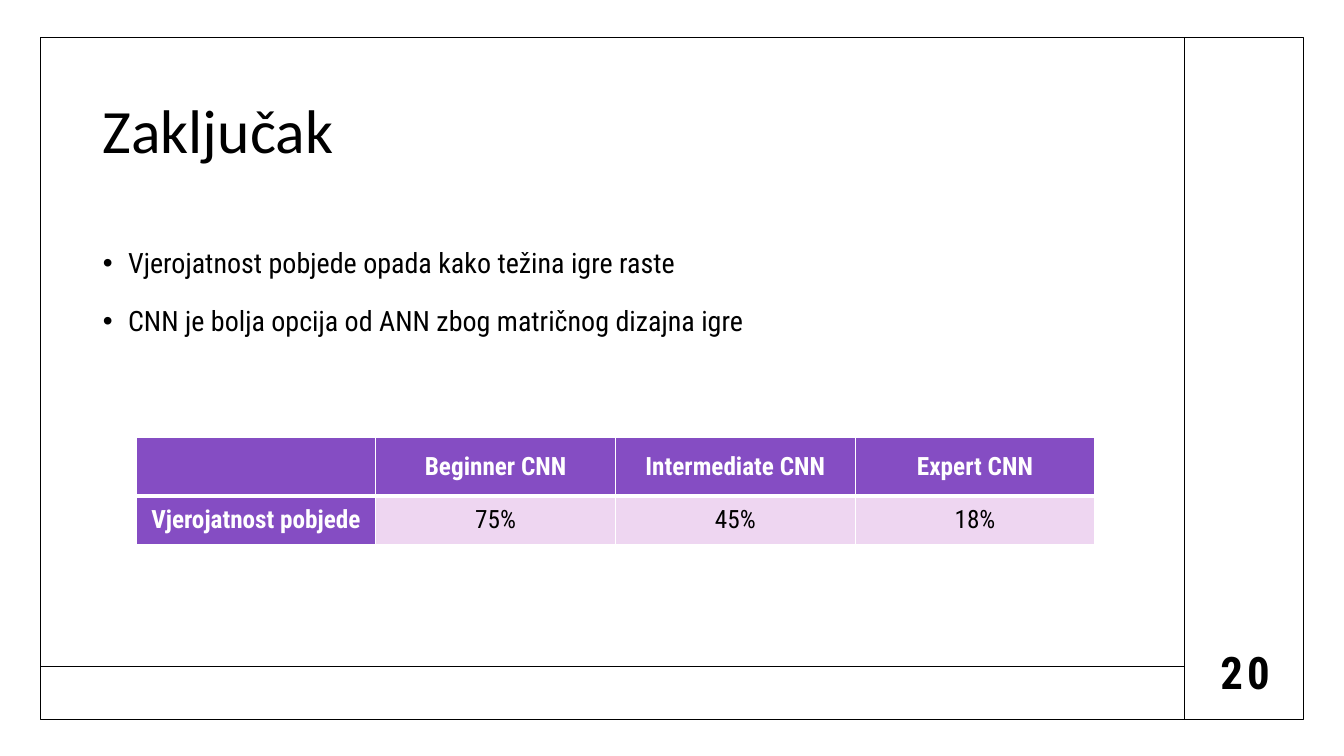
from lxml import etree
from pptx import Presentation
from pptx.dml.color import RGBColor
from pptx.enum.shapes import MSO_CONNECTOR, MSO_SHAPE
from pptx.enum.text import MSO_ANCHOR, PP_ALIGN
from pptx.oxml.ns import qn
from pptx.util import Inches, Pt

LEFT, CENTER = PP_ALIGN.LEFT, PP_ALIGN.CENTER
TOP, MIDDLE = MSO_ANCHOR.TOP, MSO_ANCHOR.MIDDLE
RECTANGLE, STRAIGHT = MSO_SHAPE.RECTANGLE, MSO_CONNECTOR.STRAIGHT

BLACK, WHITE, PURPLE, LILAC = "000000", "FFFFFF", "854DC3", "EED6F1"
HEADING_FONT, TEXT_FONT = "Calibri", "Roboto Condensed"

FRAME = (0.4, 0.37, 12.53, 6.77)
SIDEBAR_X, FOOTER_Y = 11.75, 6.61
TITLE = (0.92, 0.6, 10.38, 1.45)
BODY = (0.92, 2.29, 10.38, 4.1)
PAGE_NUMBER = (11.83, 6.43, 1.04, 0.46)
RESULTS = (1.35, 4.34, 9.51, 1.06)
HEADER_SHARE = 0.55

CONCLUSIONS = [
    "Vjerojatnost pobjede opada kako težina igre raste",
    "CNN je bolja opcija od ANN zbog matričnog dizajna igre",
]
WIN_RATES = [
    ["", "Beginner CNN", "Intermediate CNN", "Expert CNN"],
    ["Vjerojatnost pobjede", "75%", "45%", "18%"],
]


def color(value):
    return RGBColor.from_string(value)


def inches(*lengths):
    return [Inches(length) for length in lengths]


def place(shape, box):
    shape.left, shape.top, shape.width, shape.height = inches(*box)


def write(frame, lines, size=20, font=TEXT_FONT, ink=BLACK, bold=False,
          align=LEFT, anchor=MIDDLE, line_spacing=1.0, before=0,
          tracking=0, bullet=False):
    frame.word_wrap = True
    frame.vertical_anchor = anchor
    for index, line in enumerate(lines):
        paragraph = frame.add_paragraph() if index else frame.paragraphs[0]
        paragraph.alignment = align
        paragraph.line_spacing = line_spacing
        paragraph.space_before = Pt(before)
        run = paragraph.add_run()
        run.text = line
        run.font.size, run.font.name, run.font.bold = Pt(size), font, bold
        run.font.color.rgb = color(ink)
        if tracking:
            run.font._element.set("spc", str(tracking * 100))
        if bullet:
            properties = paragraph._p.get_or_add_pPr()
            properties.set("marL", str(Inches(0.25)))
            properties.set("indent", str(-Inches(0.25)))
            etree.SubElement(properties, qn("a:buFont")).set("typeface", "Arial")
            etree.SubElement(properties, qn("a:buChar")).set("char", "•")


def add_rule(slide, start, end):
    rule = slide.shapes.add_connector(STRAIGHT, *inches(*start, *end))
    rule.line.color.rgb = color(BLACK)
    rule.line.width = Pt(1)
    etree.SubElement(rule._element.spPr, qn("a:effectLst"))


def draw_frame(slide, box):
    left, top, _, height = box
    border = slide.shapes.add_shape(RECTANGLE, *inches(*box))
    border.shadow.inherit = False
    border.fill.background()
    border.line.color.rgb = color(BLACK)
    border.line.width = Pt(1)
    add_rule(slide, (SIDEBAR_X, top), (SIDEBAR_X, top + height))
    add_rule(slide, (left, FOOTER_Y), (SIDEBAR_X, FOOTER_Y))


def set_borders(cell, bottom):
    properties = cell._tc.get_or_add_tcPr()
    widths = {"lnL": 1, "lnR": 1, "lnT": 1, "lnB": bottom}
    for index, (side, width) in enumerate(widths.items()):
        edge = etree.Element(qn("a:" + side), w=str(Pt(width)))
        fill = etree.SubElement(edge, qn("a:solidFill"))
        etree.SubElement(fill, qn("a:srgbClr")).set("val", WHITE)
        properties.insert(index, edge)


def add_results(slide, box, rows):
    width, height = box[2:]
    table = slide.shapes.add_table(len(rows), len(rows[0]), *inches(*box)).table
    for column in table.columns:
        column.width = Inches(width / len(rows[0]))
    for row, share in zip(table.rows, (HEADER_SHARE, 1 - HEADER_SHARE)):
        row.height = Inches(height * share)
    for r, row in enumerate(rows):
        for c, label in enumerate(row):
            cell = table.cell(r, c)
            heading = r == 0 or c == 0
            cell.fill.solid()
            cell.fill.fore_color.rgb = color(PURPLE if heading else LILAC)
            cell.vertical_anchor = MIDDLE
            set_borders(cell, bottom=1 if r else 3)
            if label:
                write(cell.text_frame, [label], size=18, bold=heading,
                      ink=WHITE if heading else BLACK, align=CENTER)


def add_page_number(slide, box, number):
    holder = slide.shapes.add_textbox(*inches(*box))
    write(holder.text_frame, [number], size=32, bold=True, align=CENTER,
          tracking=3)


def build_conclusion(slide):
    draw_frame(slide, FRAME)
    title, body = slide.placeholders
    place(title, TITLE)
    write(title.text_frame, ["Zaključak"], size=44, font=HEADING_FONT,
          line_spacing=0.9)
    place(body, BODY)
    write(body.text_frame, CONCLUSIONS, anchor=TOP, line_spacing=1.3,
          before=10, bullet=True)
    add_page_number(slide, PAGE_NUMBER, "20")
    add_results(slide, RESULTS, WIN_RATES)


def main():
    deck = Presentation()
    deck.slide_width, deck.slide_height = inches(13.33, 7.5)
    build_conclusion(deck.slides.add_slide(deck.slide_layouts[1]))
    deck.save("out.pptx")


if __name__ == "__main__":
    main()
